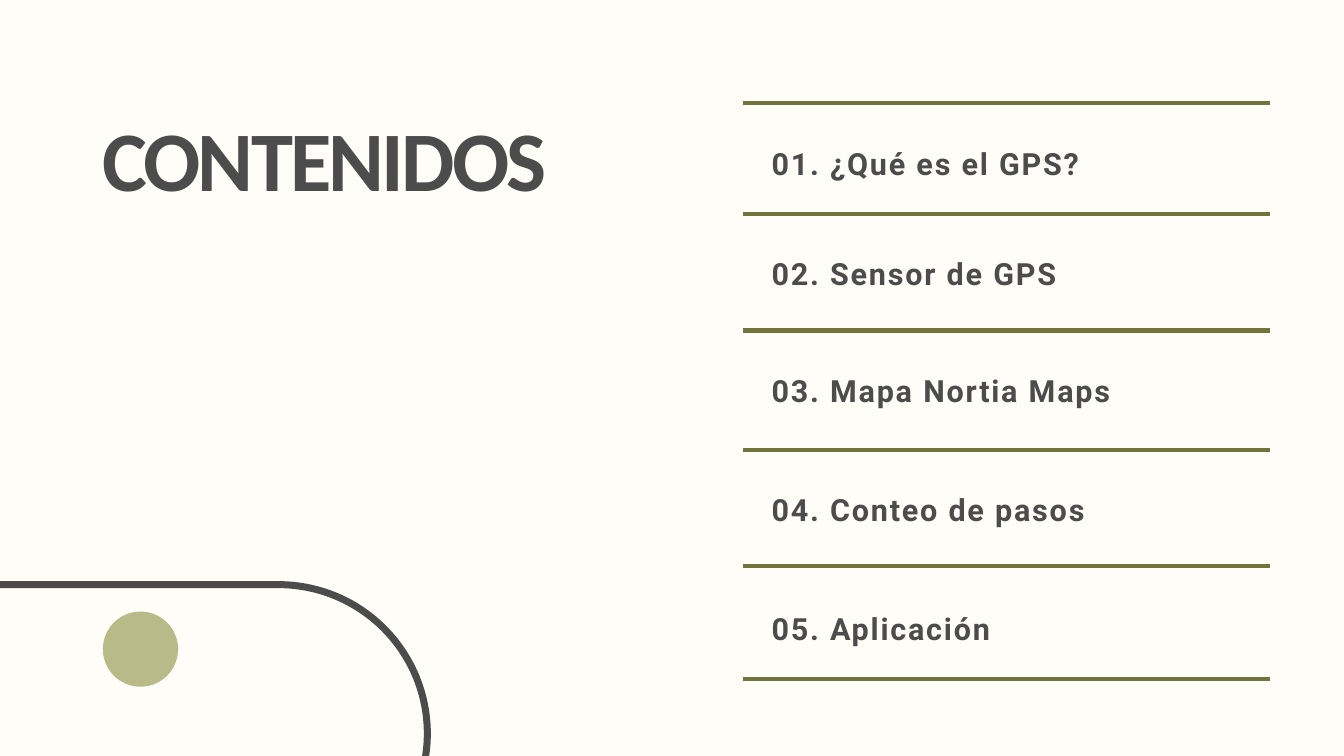
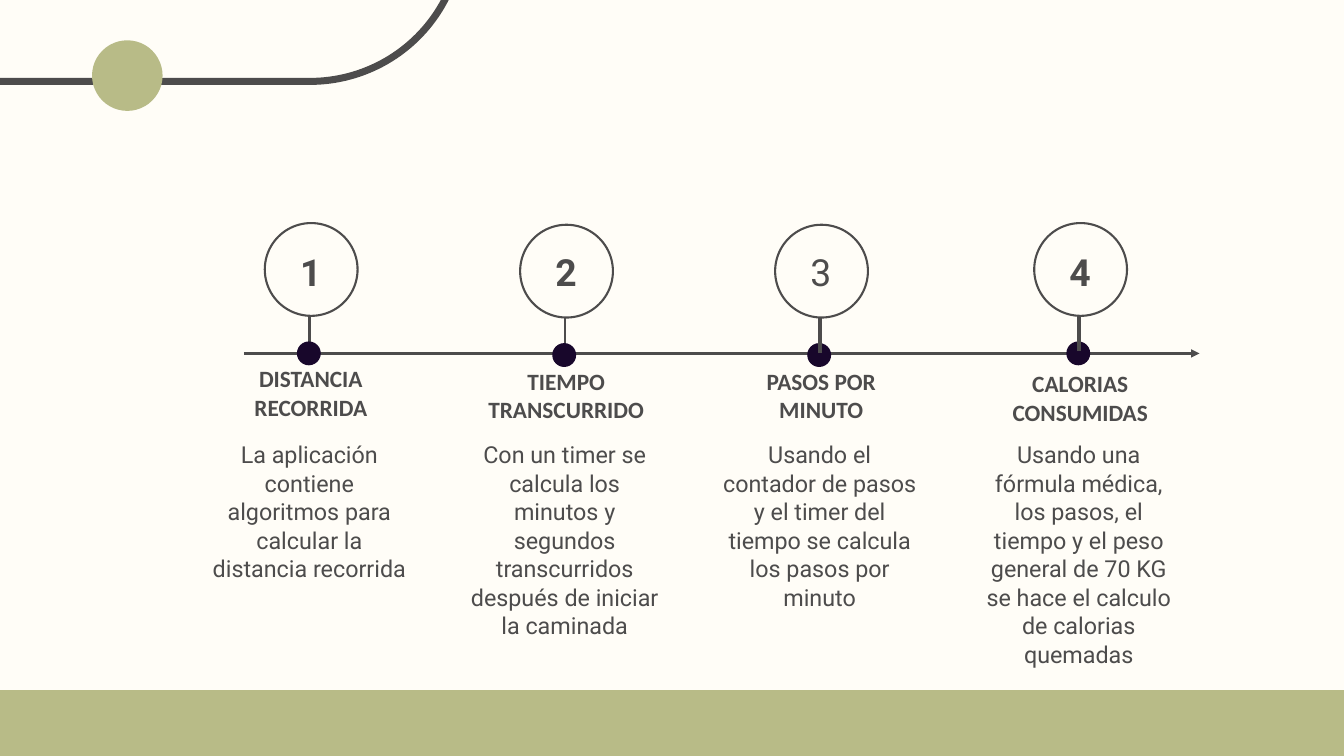
from lxml import etree
from pptx import Presentation
from pptx.dml.color import RGBColor
from pptx.enum import shapes, text
from pptx.oxml import ns
from pptx.util import Pt

# Content
TITLE = "CONTENIDOS"
FIRST_RULE = 110.2
TOPICS = [  # label, top of label, rule below
    ("01. ¿Qué es el GPS?", 149, 229.7),
    ("02. Sensor de GPS", 267.1, 354.2),
    ("03. Mapa Nortia Maps", 391.7, 482.4),
    ("04. Conteo de pasos", 519.8, 606.2),
    ("05. Aplicación", 646.6, 727.9),
]
STEPS = [
    dict(center=333.4, drop=0, heading="DISTANCIA RECORRIDA", heading_top=390.2,
         heading_width=164.2, bold=True, stem=3, stem_in_front=False,
         body="La aplicación contiene algoritmos para calcular la distancia recorrida"),
    dict(center=607, drop=1.8, heading="TIEMPO TRANSCURRIDO", heading_top=392.4,
         heading_width=206.6, bold=True, stem=3, stem_in_front=False,
         body="Con un timer se calcula los minutos y segundos transcurridos "
              "después de iniciar la caminada"),
    dict(center=880.2, drop=1.8, heading="PASOS POR MINUTO", heading_top=392.4,
         heading_width=206.6, bold=False, stem=4, stem_in_front=True,
         body="Usando el contador de pasos y el timer del tiempo se calcula "
              "los pasos por minuto"),
    dict(center=1157.8, drop=0, heading="CALORIAS CONSUMIDAS", heading_top=395.3,
         heading_width=169.9, bold=True, stem=4, stem_in_front=True,
         body="Usando una fórmula médica, los pasos, el tiempo y el peso general "
              "de 70 KG se hace el calculo de calorias quemadas"),
]

# Shared style
CREAM, DARK, OLIVE, SAGE, NIGHT = "FFFDF7", "4D4C4C", "71743C", "B8BB87", "18072B"
HEAD_FONT, BODY_FONT = "Calibri", "Roboto"
OVAL = shapes.MSO_SHAPE.OVAL
LEFT, CENTER = text.PP_ALIGN.LEFT, text.PP_ALIGN.CENTER


def color(value):
    return RGBColor.from_string(value)


def add_slide(presentation):
    slide = presentation.slides.add_slide(presentation.slide_layouts[6])
    slide.background.fill.solid()
    slide.background.fill.fore_color.rgb = color(CREAM)
    return slide


def add_shape(slide, kind, left, top, width, height, fill=None, line=None, weight=0):
    shape = slide.shapes.add_shape(kind, Pt(left), Pt(top), Pt(width), Pt(height))
    shape.shadow.inherit = False
    if fill:
        shape.fill.solid()
        shape.fill.fore_color.rgb = color(fill)
    else:
        shape.fill.background()
    if line:
        shape.line.color.rgb = color(line)
        shape.line.width = Pt(weight)
    else:
        shape.line.fill.background()
    return shape


def add_line(slide, x1, y1, x2, y2, line, weight, arrow=False):
    connector = slide.shapes.add_connector(
        shapes.MSO_CONNECTOR.STRAIGHT, Pt(x1), Pt(y1), Pt(x2), Pt(y2))
    connector.line.color.rgb = color(line)
    connector.line.width = Pt(weight)
    properties = connector._element.spPr
    if arrow:
        outline = properties.find(ns.qn("a:ln"))
        etree.SubElement(outline, ns.qn("a:tailEnd"), type="triangle")
    etree.SubElement(properties, ns.qn("a:effectLst"))


def add_text(slide, words, left, top, width, height, size, spacing,
             font=BODY_FONT, bold=False, align=LEFT, tracking=0):
    box = slide.shapes.add_textbox(Pt(left), Pt(top), Pt(width), Pt(height))
    frame = box.text_frame
    frame.word_wrap = True
    frame.auto_size = text.MSO_AUTO_SIZE.SHAPE_TO_FIT_TEXT
    frame.margin_left = frame.margin_right = frame.margin_top = frame.margin_bottom = 0
    paragraph = frame.paragraphs[0]
    paragraph.alignment = align
    paragraph.line_spacing = Pt(spacing)
    run = paragraph.add_run()
    run.text = words
    run.font.name, run.font.size, run.font.bold = font, Pt(size), bold
    run.font.color.rgb = color(DARK)
    if tracking:
        run.font._element.set("spc", str(round(tracking * 100)))


def add_centered(slide, words, center, top, width, height, size, spacing, **style):
    add_text(slide, words, center - width / 2, top, width, height, size, spacing,
             align=CENTER, **style)


def add_corner(slide, pill, dot):
    """Rounded outline running off the slide, with a sage dot."""
    outline = add_shape(slide, shapes.MSO_SHAPE.ROUNDED_RECTANGLE, *pill,
                        line=DARK, weight=7.5)
    outline.adjustments[0] = 0.5
    left, top, size = dot
    add_shape(slide, OVAL, left, top, size, size, fill=SAGE)


def build_contents(presentation):
    slide = add_slide(presentation)
    add_corner(slide, (-238.3, 626.4, 696.2, 319), (110.2, 655.2, 80.6))
    add_text(slide, TITLE, 109.4, 96.5, 672.5, 122.4, 90.8, 127.2,
             font=HEAD_FONT, bold=True, tracking=-3)

    # Topics between rules
    for y in [FIRST_RULE] + [rule for _, _, rule in TOPICS]:
        add_line(slide, 795.6, y, 1360.8, y, OLIVE, 4.5)
    for label, top, _ in TOPICS:
        add_text(slide, label, 826.6, top, 533.5, 45.4, 32.7, 45.8,
                 bold=True, tracking=1.9)


def build_timeline(presentation):
    slide = add_slide(presentation)
    add_corner(slide, (-257.8, -239, 753.1, 326.2), (98.6, 43.2, 75.6))
    add_shape(slide, shapes.MSO_SHAPE.RECTANGLE, -69, 739.4, 1649.5, 537, fill=SAGE)
    add_line(slide, 261.4, 378.7, 1285.2, 378.7, DARK, 3, arrow=True)

    ring, dot = 99.4, 25.6
    for number, step in enumerate(STEPS, 1):
        center, drop = step["center"], step["drop"]
        stem_x = center - 1.7

        # Marker: ring, stem and dot on the axis
        def draw_stem():
            add_line(slide, stem_x, 338.4 + drop, stem_x, 376.6 + drop,
                     DARK, step["stem"])

        def draw_dot():
            add_shape(slide, OVAL, center - 2.5 - dot / 2, 365.8 + drop, dot, dot,
                      fill=NIGHT)

        add_shape(slide, OVAL, center - ring / 2, 239 + drop, ring, ring,
                  line=DARK, weight=2.25)
        order = (draw_dot, draw_stem) if step["stem_in_front"] else (draw_stem, draw_dot)
        for draw in order:
            draw()

        # Number, heading and description
        add_centered(slide, str(number), center - 0.8, 258.5, 22.3, 54, 40, 56,
                     bold=step["bold"])
        add_centered(slide, step["heading"], center - 0.4, step["heading_top"],
                     step["heading_width"], 60.5, 25, 30.5, font=HEAD_FONT, bold=True)
        add_centered(slide, step["body"], center - 2, 471.6, 208.8, 180, 25, 30.5)


def main():
    presentation = Presentation()
    presentation.slide_width, presentation.slide_height = Pt(1440), Pt(810)
    build_contents(presentation)
    build_timeline(presentation)
    presentation.save("out.pptx")


if __name__ == "__main__":
    main()
